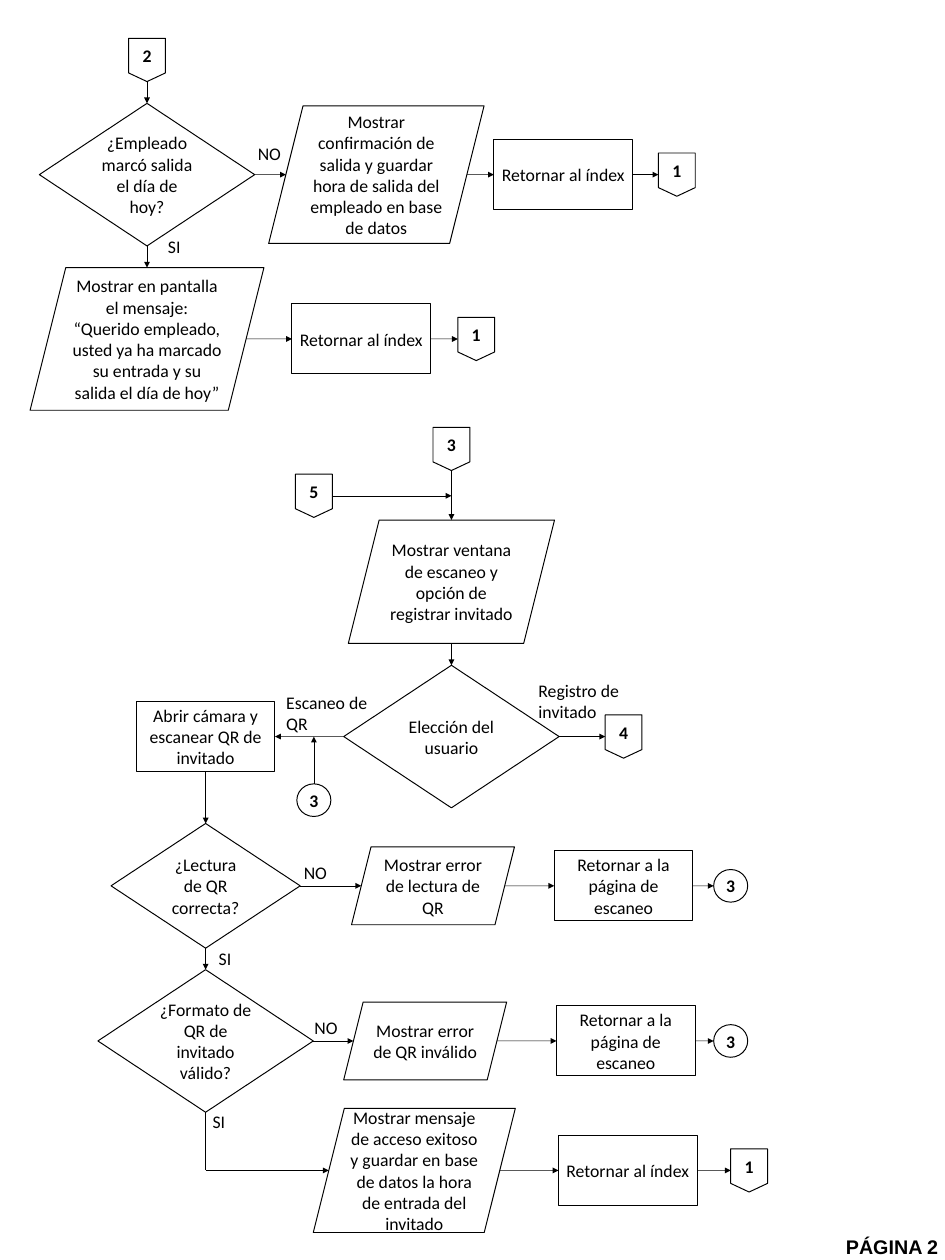
from pptx import Presentation
from pptx.dml.color import RGBColor
from pptx.enum.shapes import MSO_CONNECTOR, MSO_SHAPE
from pptx.enum.text import MSO_ANCHOR, PP_ALIGN
from pptx.oxml.ns import qn
from pptx.util import Cm, Pt
from lxml import etree

BLACK = RGBColor.from_string("000000")
TOP, LEFT, BOTTOM, RIGHT = range(4)

prs = Presentation()
prs.slide_width, prs.slide_height = Cm(33.87), Cm(45.16)
s = prs.slides.add_slide(prs.slide_layouts[6])


def style(p, text, size=18, font="Calibri", bold=False, align=PP_ALIGN.LEFT):
    """Write the text of a paragraph and set its look."""
    p.text = text
    p.alignment = align
    p.font.size, p.font.name, p.font.bold = Pt(size), font, bold
    p.font.color.rgb = BLACK


DECISION = MSO_SHAPE.FLOWCHART_DECISION
DATA = MSO_SHAPE.PARALLELOGRAM
PROCESS = MSO_SHAPE.RECTANGLE
PAGE = MSO_SHAPE.FLOWCHART_OFFPAGE_CONNECTOR
CIRCLE = MSO_SHAPE.OVAL
SIZES = {DECISION: (7.72, 5.11), PROCESS: (4.97, 2.51),
         PAGE: (1.32, 1.55), CIRCLE: (1.22, 1.17)}

# Rows and columns shared by several shapes (centres, cm)
Y_EXIT, Y_ALREADY, Y_CHOICE = 6.26, 12.15, 26.4
Y_READ, Y_FORMAT, Y_ACCESS = 31.75, 37.31, 41.95
X_EXIT, X_SCAN, X_RETRY, X_GUEST = 5.27, 7.37, 11.25, 16.18

# name: kind, centre x, centre y, text, own size if any
nodes = {
    "start 2": (PAGE, X_EXIT, 2.15, "2"),
    "exit marked": (DECISION, X_EXIT, Y_EXIT, "¿Empleado marcó salida el día de hoy?"),
    "confirm exit": (DATA, 13.49, Y_EXIT, "Mostrar confirmación de salida y guardar "
                     "hora de salida del empleado en base de datos", (7.72, 4.93)),
    "index exit": (PROCESS, 20.19, Y_EXIT, "Retornar al índex"),
    "page 1 exit": (PAGE, 24.26, Y_EXIT, "1"),
    "already marked": (DATA, X_EXIT, Y_ALREADY, "Mostrar en pantalla el mensaje: “Querido "
                       "empleado, usted ya ha marcado su entrada y su salida el día de hoy”",
                       (8.38, 5.11)),
    "index already": (PROCESS, 12.95, Y_ALREADY, "Retornar al índex"),
    "page 1 already": (PAGE, 17.07, Y_ALREADY, "1"),
    "start 3": (PAGE, X_GUEST, 16.09, "3"),
    "start 5": (PAGE, X_RETRY, 17.77, "5"),
    "scan window": (DATA, X_GUEST, 20.85, "Mostrar ventana de escaneo y opción de "
                    "registrar invitado", (7.39, 4.42)),
    "choice": (DECISION, X_GUEST, Y_CHOICE, "Elección del usuario"),
    "camera": (PROCESS, X_SCAN, Y_CHOICE, "Abrir cámara y escanear QR de invitado"),
    "page 4": (PAGE, 22.35, Y_CHOICE, "4"),
    "retry": (CIRCLE, X_RETRY, 28.68, "3"),
    "read ok": (DECISION, X_SCAN, Y_READ, "¿Lectura de QR correcta?", (6.78, 4.47)),
    "read error": (DATA, 15.52, Y_READ, "Mostrar error de lectura de QR", (5.84, 2.79)),
    "return read": (PROCESS, 22.35, Y_READ, "Retornar a la página de escaneo"),
    "retry read": (CIRCLE, 26.19, Y_READ, "3"),
    "format ok": (DECISION, X_SCAN, Y_FORMAT, "¿Formato de QR de invitado válido?"),
    "format error": (DATA, 15.24, Y_FORMAT, "Mostrar error de QR inválido", (5.84, 2.79)),
    "return format": (PROCESS, 22.43, Y_FORMAT, "Retornar a la página de escaneo"),
    "retry format": (CIRCLE, 26.19, Y_FORMAT, "3"),
    "access": (DATA, 14.85, Y_ACCESS, "Mostrar mensaje de acceso exitoso y guardar en "
               "base de datos la hora de entrada del invitado", (7.24, 4.45)),
    "index access": (PROCESS, 22.5, Y_ACCESS, "Retornar al índex"),
    "page 1 access": (PAGE, 26.85, Y_ACCESS, "1"),
}
shapes = {}
for name, (kind, x, y, text, *own) in nodes.items():
    w, h = own[0] if own else SIZES[kind]
    sp = s.shapes.add_shape(kind, Cm(x - w / 2), Cm(y - h / 2), Cm(w), Cm(h))
    sp.shadow.inherit = False
    sp.fill.background()
    sp.line.color.rgb = BLACK
    sp.line.width = Pt(1)
    tf = sp.text_frame
    tf.word_wrap = True
    tf.vertical_anchor = MSO_ANCHOR.MIDDLE
    style(tf.paragraphs[0], text, bold=kind in (PAGE, CIRCLE), align=PP_ALIGN.CENTER)
    shapes[name] = sp


def locate(end):
    """Turn (shape name, side) or (x, y) in cm into a point."""
    if end[0] not in shapes:
        return Cm(end[0]), Cm(end[1])
    sp, side = shapes[end[0]], end[1]
    slant = sp.height // 8 if sp.auto_shape_type == DATA else 0
    mid_x, mid_y = sp.left + sp.width // 2, sp.top + sp.height // 2
    return [(mid_x, sp.top), (sp.left + slant, mid_y), (mid_x, sp.top + sp.height),
            (sp.left + sp.width - slant, mid_y)][side]


chains = [
    (BOTTOM, TOP, ["start 2", "exit marked", "already marked"]),
    (RIGHT, LEFT, ["exit marked", "confirm exit", "index exit", "page 1 exit"]),
    (RIGHT, LEFT, ["already marked", "index already", "page 1 already"]),
    (BOTTOM, TOP, ["start 3", "scan window", "choice"]),
    (LEFT, RIGHT, ["choice", "camera"]),
    (RIGHT, LEFT, ["choice", "page 4"]),
    (BOTTOM, TOP, ["camera", "read ok", "format ok"]),
    (RIGHT, LEFT, ["read ok", "read error", "return read", "retry read"]),
    (RIGHT, LEFT, ["format ok", "format error", "return format", "retry format"]),
    (RIGHT, LEFT, ["access", "index access", "page 1 access"]),
]
corner = (X_SCAN, Y_ACCESS)
links = [((a, out), (b, into)) for out, into, row in chains for a, b in zip(row, row[1:])]
links += [
    (("start 5", RIGHT), (X_GUEST, 17.77)),
    (("retry", TOP), (X_RETRY, Y_CHOICE)),
    (("format ok", BOTTOM), corner),
    (corner, ("access", LEFT)),
]
for start, end in links:
    line = s.shapes.add_connector(MSO_CONNECTOR.STRAIGHT, *locate(start), *locate(end))
    line.line.color.rgb = BLACK
    line.line.width = Pt(0.5)
    for (name, side), join in ((start, line.begin_connect), (end, line.end_connect)):
        if name in shapes and shapes[name].auto_shape_type not in (DATA, CIRCLE):
            join(shapes[name], side)
    if end != corner:
        etree.SubElement(line.line._get_or_add_ln(), qn("a:tailEnd"), type="triangle")
    etree.SubElement(line._element.spPr, qn("a:effectLst"))

# text, left, top, width, height
labels = [
    ("NO", 8.99, 5, 1.6, 1.02),
    ("SI", 5.77, 8.31, 1.6, 1.02),
    ("SI", 7.59, 33.86, 1.6, 1.02),
    ("SI", 7.37, 39.67, 1.6, 1.02),
    ("NO", 11.02, 36.32, 1.6, 1.02),
    ("NO", 10.64, 30.78, 1.6, 1.02),
    ("Escaneo de QR", 10.01, 24.66, 4.14, 1.8),
    ("Registro de invitado", 19.05, 24.23, 4.14, 1.8),
    ("PÁGINA 2", 28.04, 44.12, 5.84, 1.12),
]
for text, *box in labels:
    tf = s.shapes.add_textbox(*map(Cm, box)).text_frame
    tf.word_wrap = True
    if text == "PÁGINA 2":
        style(tf.paragraphs[0], text, 20, "Arial", True, PP_ALIGN.RIGHT)
    else:
        style(tf.paragraphs[0], text)

prs.save("out.pptx")
